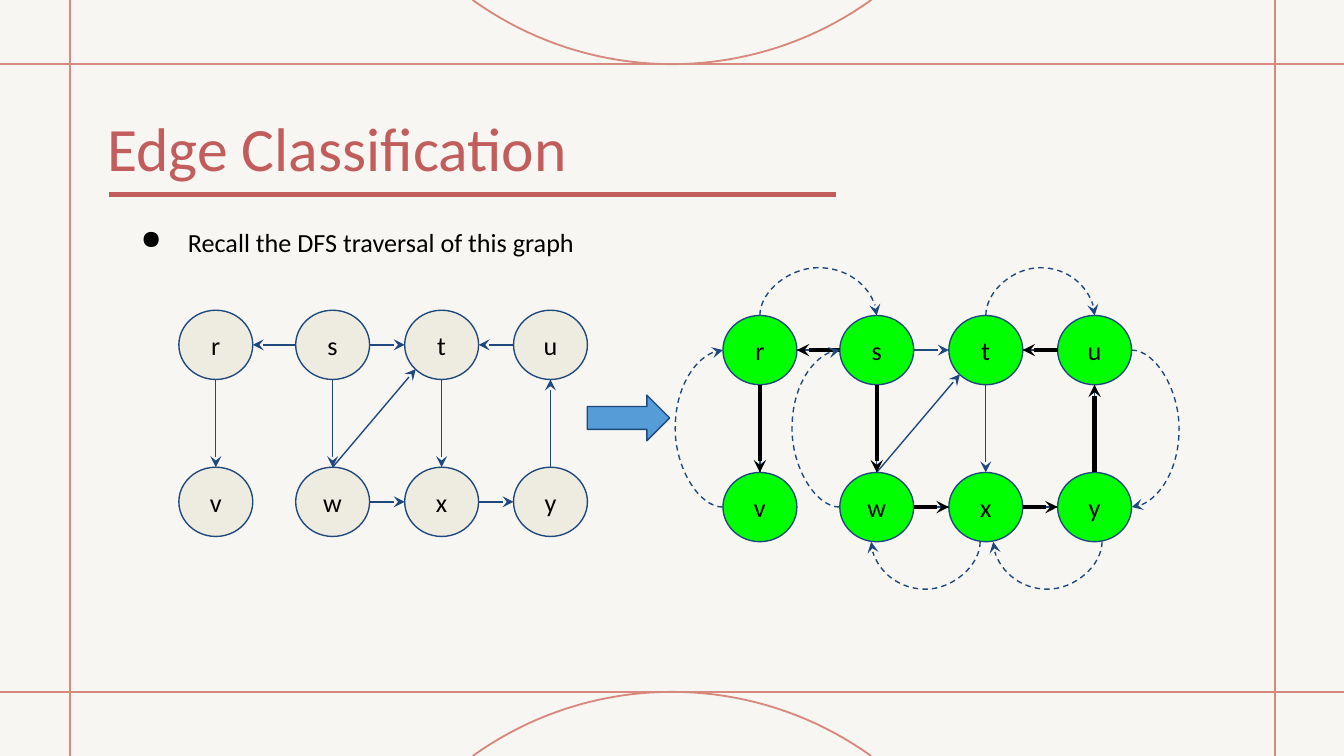
from math import acos, cos, hypot, sin

from lxml import etree
from pptx import Presentation
from pptx.dml.color import RGBColor
from pptx.enum.dml import MSO_LINE
from pptx.enum.shapes import MSO_CONNECTOR, MSO_SHAPE
from pptx.enum.text import MSO_ANCHOR, PP_ALIGN
from pptx.oxml.ns import qn
from pptx.util import Pt

STRAIGHT, CURVE = MSO_CONNECTOR.STRAIGHT, MSO_CONNECTOR.CURVE
OVAL, RIGHT_ARROW = MSO_SHAPE.OVAL, MSO_SHAPE.RIGHT_ARROW
DASH, MIDDLE, CENTER = MSO_LINE.DASH, MSO_ANCHOR.MIDDLE, PP_ALIGN.CENTER

PAPER = RGBColor(0xF8, 0xF6, 0xF2)
FRAME = RGBColor(0xD8, 0x89, 0x7E)
ACCENT = RGBColor(0xC2, 0x5D, 0x5D)
NAVY = RGBColor(0x1F, 0x49, 0x7D)
BEIGE = RGBColor(0xEE, 0xEC, 0xE1)
GREEN = RGBColor(0x00, 0xFF, 0x00)
BLUE = RGBColor(0x56, 0x9C, 0xD6)
BLACK = RGBColor(0x00, 0x00, 0x00)

FONT = "Calibri"
SLIDE_W, SLIDE_H = 720, 405
TOP, BOTTOM, LEFT, RIGHT = 34.4, 370.7, 37.5, 683
ARC_RADIUS = 183
BULGE = 22.5

NODE_W, NODE_H = 39.6, 37.1
COLUMNS = (0, 62.6, 121, 179.3)
ROW_STEP = 84.1
ROWS = ("rstu", "vwxy")
SIDES = {"top": (0.5, 0), "left": (0, 0.5), "bottom": (0.5, 1), "right": (1, 0.5),
         "corner": (0.15, 0.85)}
TURNS = {"right": 0, "bottom": 90, "left": 180, "top": 270}

# (from, side, to, side)
TREE_EDGES = [
    ("s", "left", "r", "right"), ("r", "bottom", "v", "top"),
    ("s", "bottom", "w", "top"), ("w", "right", "x", "left"),
    ("x", "right", "y", "left"), ("y", "top", "u", "bottom"),
    ("u", "left", "t", "right"),
]
OTHER_EDGES = [
    ("s", "right", "t", "left"), ("t", "bottom", "x", "top"),
    ("w", "top", "t", "corner"),
]
# (from, to, side, shift)
VISIT_CURVES = [
    ("v", "r", "left", 0), ("r", "s", "top", 0), ("t", "u", "top", 0),
    ("u", "y", "right", 0), ("w", "s", "left", 0),
    ("y", "x", "bottom", 4), ("x", "w", "bottom", -3),
]


class Deck:
    def __init__(self, prs):
        self.prs = prs
        self.slide = prs.slides.add_slide(prs.slide_layouts[6])
        self.slide.background.fill.solid()
        self.slide.background.fill.fore_color.rgb = PAPER
        self.shapes = self.slide.shapes

    def set_text(self, tf, text, size, color, inset):
        tf.text = text
        tf.word_wrap = True
        tf.margin_left = tf.margin_right = Pt(inset)
        tf.margin_top = tf.margin_bottom = Pt(inset)
        p = tf.paragraphs[0]
        font = p.runs[0].font
        font.name, font.size, font.color.rgb = FONT, Pt(size), color
        return p

    def text(self, x, y, w, h, text, size, color, inset=0):
        sp = self.shapes.add_textbox(Pt(x), Pt(y), Pt(w), Pt(h))
        return self.set_text(sp.text_frame, text, size, color, inset)

    def bullet(self, x, y, w, h, text):
        p = self.text(x, y, w, h, text, 14, BLACK, 7.2)
        pPr = p._p.get_or_add_pPr()
        pPr.set("marL", str(Pt(36)))
        pPr.set("indent", str(-Pt(25.2)))
        etree.SubElement(pPr, qn("a:buChar")).set("char", "●")

    def shape(self, kind, x, y, w, h, fill):
        sp = self.shapes.add_shape(kind, Pt(x), Pt(y), Pt(w), Pt(h))
        sp.shadow.inherit = False
        sp.fill.solid()
        sp.fill.fore_color.rgb = fill
        sp.line.color.rgb, sp.line.width = NAVY, Pt(0.75)
        return sp

    def node(self, x, y, label, fill):
        sp = self.shape(OVAL, x, y, NODE_W, NODE_H, fill)
        sp.text_frame.vertical_anchor = MIDDLE
        self.set_text(sp.text_frame, label, 14, BLACK, 7.2).alignment = CENTER

    def line(self, start, end, color=NAVY, width=0.75, arrow=False, kind=STRAIGHT):
        c = self.shapes.add_connector(kind, *(Pt(v) for v in (*start, *end)))
        c.line.color.rgb, c.line.width = color, Pt(width)
        if kind == CURVE:
            c.line.dash_style = DASH
        if arrow:
            etree.SubElement(c.line._get_or_add_ln(), qn("a:tailEnd")).set("type", "stealth")
        etree.SubElement(c._element.spPr, qn("a:effectLst"))
        return c

    def curve(self, start, end, side):
        """Dashed arrow that bulges out towards the given side."""
        thin, turn = 0.1, TURNS[side]
        length = hypot(end[0] - start[0], end[1] - start[1])
        x = (start[0] + end[0] - thin) / 2
        y = (start[1] + end[1] - length) / 2
        c = self.line((x, y), (x + thin, y + length), arrow=True, kind=CURVE)
        xfrm = c._element.spPr.find(qn("a:xfrm"))
        xfrm.set("rot", str(turn * 60000))
        bulge = BULGE / thin
        if turn >= 180:
            xfrm.set("flipH", "1")
            bulge = -bulge
        guide = etree.SubElement(c._element.spPr.find(".//" + qn("a:avLst")), qn("a:gd"))
        guide.set("name", "adj1")
        guide.set("fmla", f"val {round(bulge * 100000)}")

    def arc(self, tip, edge, steps=40):
        """Circle segment that touches height tip and is cut off at height edge."""
        half = acos(1 - abs(edge - tip) / ARC_RADIUS)
        way = 1 if edge > tip else -1
        angles = [half * (2 * i / steps - 1) for i in range(steps + 1)]
        points = [(Pt(SLIDE_W / 2 + ARC_RADIUS * sin(a)),
                   Pt(tip + way * ARC_RADIUS * (1 - cos(a)))) for a in angles]
        builder = self.shapes.build_freeform(*points[0])
        builder.add_line_segments(points[1:], close=False)
        sp = builder.convert_to_shape()
        sp.shadow.inherit = False
        sp.fill.background()
        sp.line.color.rgb, sp.line.width = FRAME, Pt(1)


class Graph:
    def __init__(self, deck, x, y):
        self.deck = deck
        self.corners = {name: (x + dx, y + i * ROW_STEP)
                        for i, row in enumerate(ROWS) for name, dx in zip(row, COLUMNS)}

    def point(self, name, side, shift=0):
        x, y = self.corners[name]
        fx, fy = SIDES[side]
        return x + fx * NODE_W + shift, y + fy * NODE_H

    def edges(self, edges, **style):
        for a, a_side, b, b_side in edges:
            self.deck.line(self.point(a, a_side), self.point(b, b_side), **style)

    def nodes(self, fill):
        for name, (x, y) in self.corners.items():
            self.deck.node(x, y, name, fill)

    def curves(self, curves):
        for a, b, side, shift in curves:
            self.deck.curve(self.point(a, side, shift), self.point(b, side, shift), side)


def main():
    prs = Presentation()
    prs.slide_width, prs.slide_height = Pt(SLIDE_W), Pt(SLIDE_H)
    deck = Deck(prs)

    for y in (BOTTOM, TOP):
        deck.line((0, y), (SLIDE_W, y), FRAME, 1)
    for x in (RIGHT, LEFT):
        deck.line((x, 0), (x, SLIDE_H), FRAME, 1)
    deck.arc(TOP, 0)
    deck.arc(BOTTOM, SLIDE_H)

    deck.line((58.4, 104.2), (447.9, 104.2), ACCENT, 3)
    deck.text(57.6, 59, 393.8, 40.3, "Edge Classification", 33, ACCENT)
    deck.bullet(57.6, 113.8, 285.1, 41.8, "Recall the DFS traversal of this graph")

    plain = Graph(deck, 95.8, 166.2)
    plain.nodes(BEIGE)
    plain.edges(TREE_EDGES + OTHER_EDGES, arrow=True)

    deck.shape(RIGHT_ARROW, 314.6, 211.7, 44.2, 24.5, BLUE)

    visited = Graph(deck, 387.3, 169)
    visited.edges(TREE_EDGES)
    visited.edges(OTHER_EDGES, arrow=True)
    visited.nodes(GREEN)
    visited.edges(TREE_EDGES, color=BLACK, width=2.25, arrow=True)
    visited.curves(VISIT_CURVES)

    prs.save("out.pptx")


if __name__ == "__main__":
    main()
